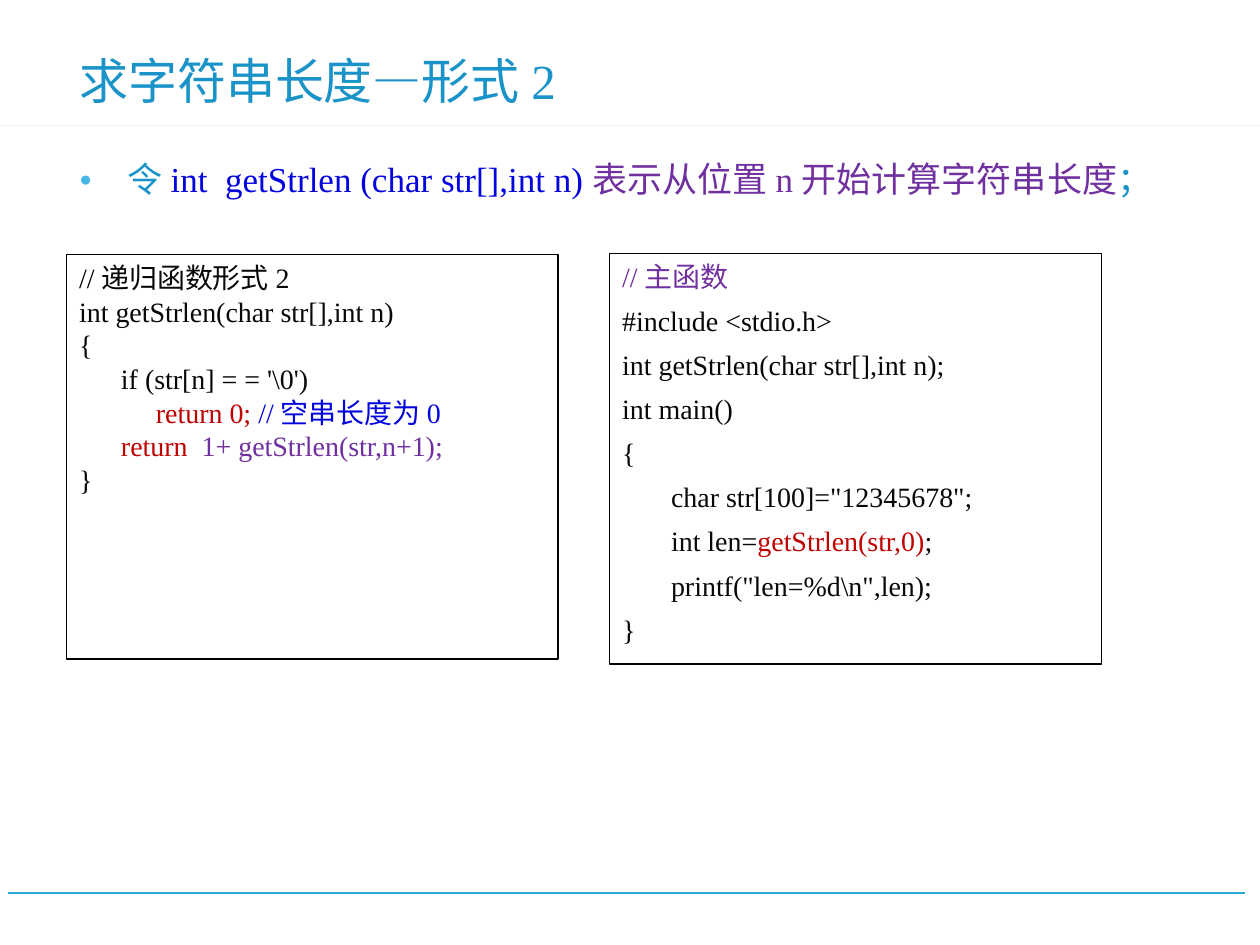
from dataclasses import dataclass

from lxml import etree
from pptx import Presentation, util as u
from pptx.dml.color import RGBColor
from pptx.enum import shapes, text
from pptx.oxml.ns import qn


@dataclass(frozen=True)
class Theme:
    font: str = "Times New Roman"
    title: str = "1A93C8"
    rule: str = "28A9D6"
    dot: str = "47B6E7"
    ink: str = "080808"
    edge: str = "000000"
    blue: str = "0303DF"
    plum: str = "7030A0"
    red: str = "C00000"
    head: int = 28
    body: int = 20
    code: int = 16


T = Theme()


@dataclass(frozen=True)
class Run:
    text: str
    color: str = T.ink


@dataclass(frozen=True)
class Panel:
    left: float
    top: float
    width: float
    height: float
    gap: float
    lines: list[list[Run]]


def rgb(code: str) -> RGBColor:
    return RGBColor.from_string(code)


def write(frame, lines: list[list[Run]], *, size: int, gap: float = 0,
          lead: float = 1, anchor=text.MSO_ANCHOR.TOP) -> None:
    frame.word_wrap = True
    frame.auto_size = text.MSO_AUTO_SIZE.NONE
    frame.vertical_anchor = anchor
    for i, line in enumerate(lines):
        para = frame.add_paragraph() if i else frame.paragraphs[0]
        para.alignment = text.PP_ALIGN.LEFT
        para.line_spacing = lead
        para.space_before = u.Pt(gap if i else 0)
        for part in line:
            run = para.add_run()
            run.text = part.text
            run.font.name = T.font
            run.font.size = u.Pt(size)
            run.font.color.rgb = rgb(part.color)


def place(shape, left: float, top: float, width: float, height: float) -> None:
    shape.left, shape.top = u.Inches(left), u.Inches(top)
    shape.width, shape.height = u.Inches(width), u.Inches(height)


def add_dot(para, indent: float) -> None:
    props = para._p.get_or_add_pPr()
    props.set("marL", str(u.Inches(indent)))
    props.set("indent", str(-u.Inches(indent)))
    tint = etree.SubElement(props, qn("a:buClr"))
    etree.SubElement(tint, qn("a:srgbClr")).set("val", T.dot)
    etree.SubElement(props, qn("a:buSzPct")).set("val", "60000")
    etree.SubElement(props, qn("a:buChar")).set("char", "●")


def add_rule(slide) -> None:
    rule = slide.shapes.add_connector(
        shapes.MSO_CONNECTOR.STRAIGHT, u.Inches(9.88), u.Inches(7.09),
        u.Inches(0.06), u.Inches(7.09))
    rule.line.color.rgb = rgb(T.rule)
    rule.line.width = u.Pt(1.25)
    etree.SubElement(rule._element.spPr, qn("a:effectLst"))


def add_mark(slide) -> None:
    points = [(0.41, 0.46), (0.41, 0.92), (1.4, 0.92), (10.09, 0.94),
              (0.39, 0.94), (0.39, 0.48), (0.36, 0.48), (0.36, 0.94),
              (0.27, 0.94), (0.27, 0.46), (0.3, 0.46), (0.3, 0.91),
              (0.33, 0.91), (0.33, 0.46)]
    pen = slide.shapes.build_freeform(*points[0], scale=u.Inches(1))
    pen.add_line_segments(points[1:], close=True)
    mark = pen.convert_to_shape()
    mark.shadow.inherit = False
    mark.fill.solid()
    mark.fill.fore_color.rgb = rgb(T.rule)
    mark.line.fill.background()


def add_panel(slide, panel: Panel) -> None:
    box = slide.shapes.add_shape(shapes.MSO_SHAPE.RECTANGLE, 0, 0, 0, 0)
    place(box, panel.left, panel.top, panel.width, panel.height)
    box.shadow.inherit = False
    box.fill.background()
    box.line.color.rgb = rgb(T.edge)
    box.line.width = u.Pt(0.75)
    write(box.text_frame, panel.lines, size=T.code, gap=panel.gap)


PANELS = [
    Panel(0.53, 2.02, 3.9, 3.21, 0, [
        [Run("//递归函数形式2")],
        [Run("int getStrlen(char str[],int n)")],
        [Run("{")],
        [Run("      if (str[n] = = '\\0')")],
        [Run("           "), Run("return 0; ", T.red),
         Run("//空串长度为0", T.blue)],
        [Run("      return ", T.red), Run(" 1+ getStrlen(str,n+1);", T.plum)],
        [Run("}")],
    ]),
    Panel(4.84, 2.01, 3.9, 3.26, 6, [
        [Run("//主函数", T.plum)],
        [Run("#include <stdio.h>")],
        [Run("int getStrlen(char str[],int n);")],
        [Run("int main()")],
        [Run("{")],
        [Run("       char str[100]=\"12345678\";")],
        [Run("       int len="), Run("getStrlen(str,0)", T.red), Run(";")],
        [Run("       printf(\"len=%d\\n\",len);")],
        [Run("}")],
    ]),
]


def main() -> None:
    deck = Presentation()
    deck.slide_width, deck.slide_height = u.Inches(10), u.Inches(7.5)
    slide = deck.slides.add_slide(deck.slide_layouts[1])

    # Frame lines
    add_rule(slide)
    add_mark(slide)

    # Title
    title = slide.shapes.title
    place(title, 0.53, 0.28, 8.85, 0.64)
    write(title.text_frame, [[Run("求字符串长度—形式2", T.title)]],
          size=T.head, lead=0.9, anchor=text.MSO_ANCHOR.BOTTOM)

    # Bullet
    body = slide.placeholders[1]
    place(body, 0.53, 1.24, 8.62, 0.64)
    write(body.text_frame, [[
        Run("令", T.title),
        Run("int  getStrlen (char str[],int n)", T.blue),
        Run("表示从位置n开始计算字符串长度", T.plum),
        Run("；", T.title),
    ]], size=T.body, lead=0.9)
    add_dot(body.text_frame.paragraphs[0], 0.38)

    # Code panels
    for panel in PANELS:
        add_panel(slide, panel)

    deck.save("out.pptx")


if __name__ == "__main__":
    main()
